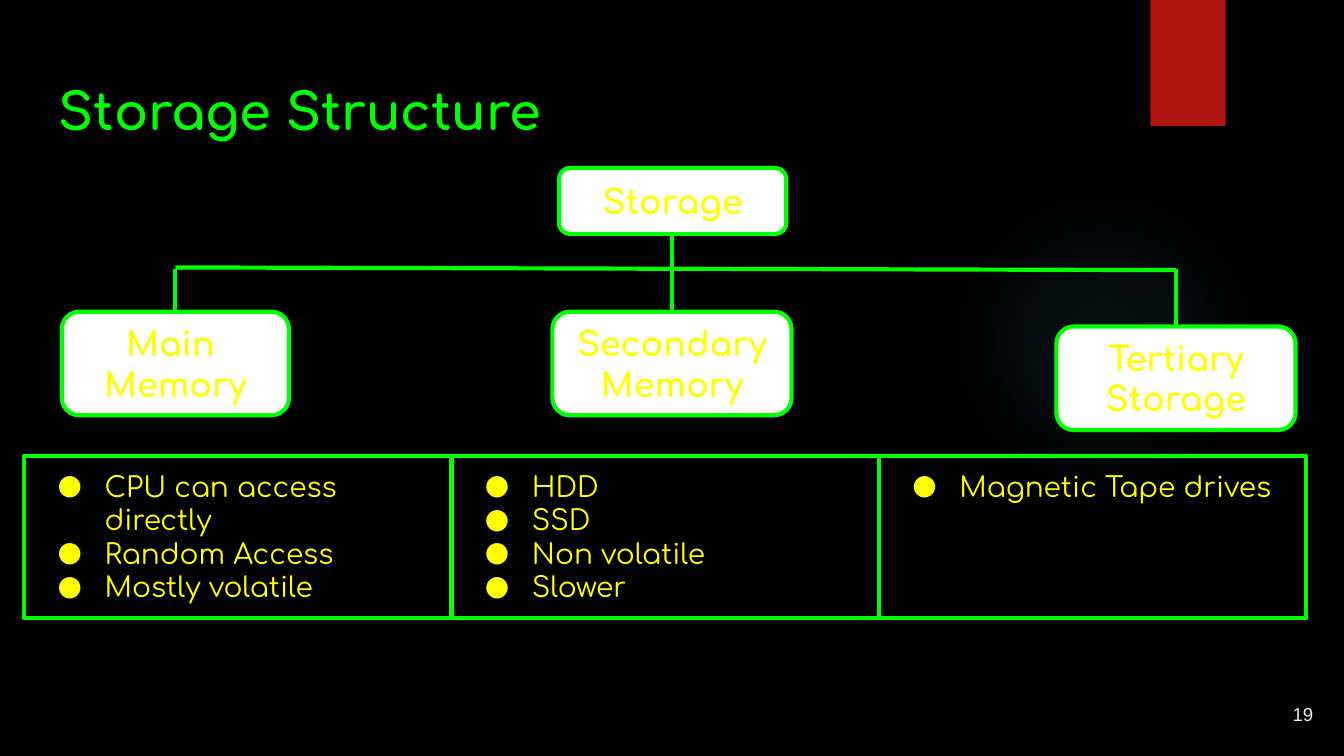
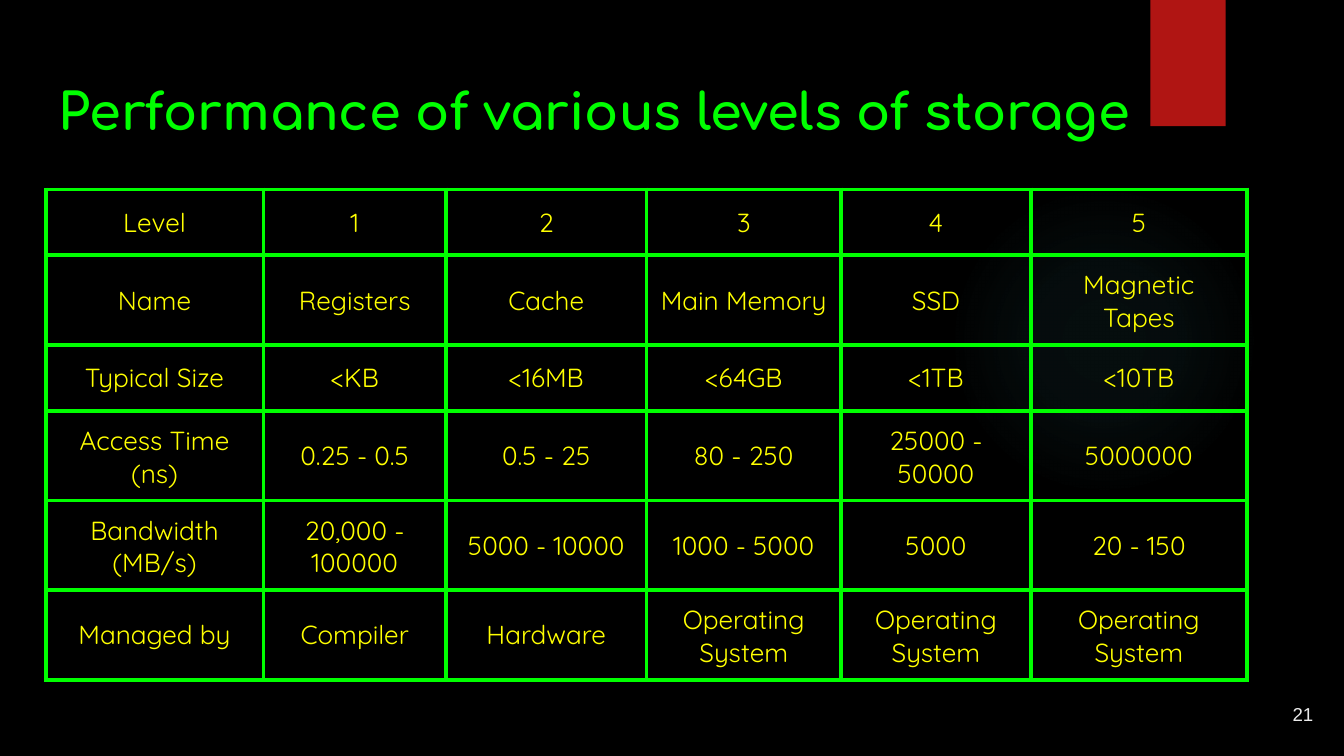
from collections import namedtuple

from lxml import etree
from pptx import Presentation
from pptx import util as u
from pptx.dml.color import RGBColor
from pptx.enum import shapes, text
from pptx.oxml import ns

BLACK, WHITE, GREEN, YELLOW = "000000", "FFFFFF", "00FF00", "FFFF00"
RED, TEAL, PALE = "B01513", "50B9C1", "EBEBEB"
DISPLAY, BODY, PLAIN = "Comfortaa", "Quicksand", "Arial"
LINE_WIDTH = 2.25
INSET = u.Inches(0.1)
WIDTH, HEIGHT = u.Inches(10), u.Inches(5.625)
UNIT = WIDTH / 100  # square grid, 100 columns wide

Box = namedtuple("Box", "left top width height")
Style = namedtuple("Style", "font size color bold align anchor")

TITLE = Style(DISPLAY, 27.2, GREEN, True, text.PP_ALIGN.LEFT, text.MSO_ANCHOR.TOP)
NUMBER = Style(PLAIN, 10, PALE, False, text.PP_ALIGN.RIGHT, text.MSO_ANCHOR.MIDDLE)
NODE = Style(DISPLAY, 18, YELLOW, True, text.PP_ALIGN.CENTER, text.MSO_ANCHOR.MIDDLE)
BULLET = Style(DISPLAY, 15, YELLOW, False, text.PP_ALIGN.LEFT, text.MSO_ANCHOR.TOP)
CELL = Style(BODY, 14, YELLOW, False, text.PP_ALIGN.CENTER, text.MSO_ANCHOR.MIDDLE)

CHILDREN = [  # label, left, top, width within the tree
    ("Main \nMemory", 0, 10.7, 16.9),
    ("Secondary\nMemory", 36.5, 10.7, 17.8),
    ("Tertiary\nStorage", 74, 11.8, 17.8),
]
TRAITS = [
    ["CPU can access directly", "Random Access", "Mostly volatile"],
    ["HDD", "SSD", "Non volatile", "Slower"],
    ["Magnetic Tape drives"],
]
LEVEL_COLUMNS = [16.2, 13.6, 14.9, 14.5, 14.1, 16.1]
LEVELS = [
    ["Level", "1", "2", "3", "4", "5"],
    ["Name", "Registers", "Cache", "Main Memory", "SSD", "Magnetic Tapes"],
    ["Typical Size", "<KB", "<16MB", "<64GB", "<1TB", "<10TB"],
    ["Access Time (ns)", "0.25 - 0.5", "0.5 - 25", "80 - 250", "25000 - 50000", "5000000"],
    ["Bandwidth (MB/s)", "20,000 - 100000", "5000 - 10000", "1000 - 5000", "5000", "20 - 150"],
    ["Managed by", "Compiler", "Hardware"] + ["Operating System"] * 3,
]


def rgb(value):
    return RGBColor.from_string(value)


def grid(*lengths):
    return [round(length * UNIT) for length in lengths]


def add_xml(parent, tag, **attributes):
    child = etree.SubElement(parent, ns.qn(tag))
    for name, value in attributes.items():
        child.set(name, str(value))
    return child


def add_color(parent, color, percent):
    add_xml(add_xml(parent, "a:srgbClr", val=color), "a:alpha", val=percent * 1000)


def format_paragraph(paragraph, style):
    paragraph.alignment = style.align
    for run in paragraph.runs:
        run.font.name = style.font
        run.font.size = u.Pt(style.size)
        run.font.bold = style.bold
        run.font.color.rgb = rgb(style.color)


def write(frame, content, style):
    frame.text = content
    frame.word_wrap = True
    frame.vertical_anchor = style.anchor
    frame.margin_left = frame.margin_right = INSET
    frame.margin_top = frame.margin_bottom = INSET
    for paragraph in frame.paragraphs:
        format_paragraph(paragraph, style)


def add_label(slide, box, content, style):
    write(slide.shapes.add_textbox(*grid(*box)).text_frame, content, style)


def add_panel(slide, kind, box, fill=None, line=None):
    shape = slide.shapes.add_shape(kind, *grid(*box))
    shape.shadow.inherit = False
    if fill:
        shape.fill.solid()
        shape.fill.fore_color.rgb = rgb(fill)
    else:
        shape.fill.background()
    if line:
        shape.line.color.rgb = rgb(line)
        shape.line.width = u.Pt(LINE_WIDTH)
    else:
        shape.line.fill.background()
    return shape


def add_branch(slide, *ends):
    connector = slide.shapes.add_connector(shapes.MSO_CONNECTOR.STRAIGHT, *grid(*ends))
    connector.line.color.rgb = rgb(GREEN)
    connector.line.width = u.Pt(LINE_WIDTH)
    add_xml(connector._element.spPr, "a:effectLst")


def add_glow(slide, box):
    """Faint disc that fades out towards its edge."""
    glow = add_panel(slide, shapes.MSO_SHAPE.OVAL, box)
    properties = glow._element.spPr
    gradient = etree.Element(ns.qn("a:gradFill"))
    stops = add_xml(gradient, "a:gsLst")
    for position, opacity in [(0, 7), (36, 6), (69, 0)]:
        add_color(add_xml(stops, "a:gs", pos=position * 1000), TEAL, opacity)
    circle = add_xml(gradient, "a:path", path="circle")
    add_xml(circle, "a:fillToRect", l=50000, t=50000, r=50000, b=50000)
    properties.replace(properties.find(ns.qn("a:noFill")), gradient)


def add_ribbon(slide, box):
    ribbon = add_panel(slide, shapes.MSO_SHAPE.RECTANGLE, box, RED)
    effects = ribbon._element.spPr.find(ns.qn("a:effectLst"))
    shadow = add_xml(effects, "a:outerShdw", blurRad=u.Pt(3), dist=u.Pt(2), dir=90 * 60000)
    add_color(shadow, BLACK, 45)


def add_base(presentation, title, number):
    """Slide with the shared background, decoration, title and number."""
    slide = presentation.slides.add_slide(presentation.slide_layouts[6])
    slide.background.fill.solid()
    slide.background.fill.fore_color.rgb = rgb(BLACK)
    add_glow(slide, Box(70.6, 13.8, 23.1, 23.1))
    add_ribbon(slide, Box(85.6, 0, 5.6, 9.4))
    add_label(slide, Box(3.4, 4.9, 93.2, 6.3), title, TITLE)
    add_label(slide, Box(92.7, 51, 6, 4.3), str(number), NUMBER)
    return slide


def add_node(slide, box, label):
    node = add_panel(slide, shapes.MSO_SHAPE.ROUNDED_RECTANGLE, box, WHITE, GREEN)
    write(node.text_frame, label, NODE)


def add_tree(slide, box):
    root = Box(box.left + 37, box.top, 16.9, 4.9)
    rail = box.top + 7.5
    add_node(slide, root, "Storage")
    centers = []
    for label, left, top, width in CHILDREN:
        child = Box(box.left + left, box.top + top, width, 7.7)
        add_node(slide, child, label)
        center = child.left + width / 2
        is_middle = root.left < center < root.left + root.width
        start = root.top + root.height if is_middle else rail
        add_branch(slide, center, start, center, child.top)
        centers.append(center)
    add_branch(slide, centers[0], rail - 0.1, centers[-1], rail + 0.1)


def add_bullet(paragraph):
    properties = paragraph._p.get_or_add_pPr()
    properties.set("marL", str(u.Inches(0.5)))
    properties.set("indent", str(u.Inches(-0.35)))
    add_xml(add_xml(properties, "a:buClr"), "a:srgbClr", val=YELLOW)
    add_xml(properties, "a:buFont", typeface=DISPLAY)
    add_xml(properties, "a:buChar", char="●")


def add_traits(slide, box):
    width = box.width / len(TRAITS)
    for column, traits in enumerate(TRAITS):
        place = Box(box.left + column * width, box.top, width, box.height)
        panel = add_panel(slide, shapes.MSO_SHAPE.RECTANGLE, place, line=GREEN)
        write(panel.text_frame, "\n".join(traits), BULLET)
        panel.text_frame.auto_size = text.MSO_AUTO_SIZE.SHAPE_TO_FIT_TEXT
        for paragraph in panel.text_frame.paragraphs:
            add_bullet(paragraph)


def format_cell(cell, content):
    properties = cell._tc.get_or_add_tcPr()
    for side in "LRTB":
        border = add_xml(properties, f"a:ln{side}", w=u.Pt(LINE_WIDTH))
        add_xml(add_xml(border, "a:solidFill"), "a:srgbClr", val=GREEN)
    cell.fill.background()
    write(cell.text_frame, content, CELL)
    cell.vertical_anchor = CELL.anchor
    cell.margin_left = cell.margin_right = INSET
    cell.margin_top = cell.margin_bottom = INSET


def add_levels(slide, box):
    frame = slide.shapes.add_table(len(LEVELS), len(LEVEL_COLUMNS), *grid(*box))
    table = frame.table
    table.first_row = table.horz_banding = False
    for column, width in zip(table.columns, LEVEL_COLUMNS):
        column.width = round(width * UNIT)
    for row, contents in zip(table.rows, LEVELS):
        row.height = round(box.height / len(LEVELS) * UNIT)
        for cell, content in zip(row.cells, contents):
            format_cell(cell, content)


def build_structure(presentation):
    slide = add_base(presentation, "Storage Structure", 19)
    add_tree(slide, Box(4.6, 12.5, 91.8, 19.5))
    add_traits(slide, Box(1.8, 33.9, 95.4, 12.1))


def build_performance(presentation):
    slide = add_base(presentation, "Performance of various levels of storage", 21)
    add_levels(slide, Box(3.4, 14.1, sum(LEVEL_COLUMNS), 29.4))


def main():
    presentation = Presentation()
    presentation.slide_width, presentation.slide_height = WIDTH, HEIGHT
    build_structure(presentation)
    build_performance(presentation)
    presentation.save("out.pptx")


if __name__ == "__main__":
    main()
